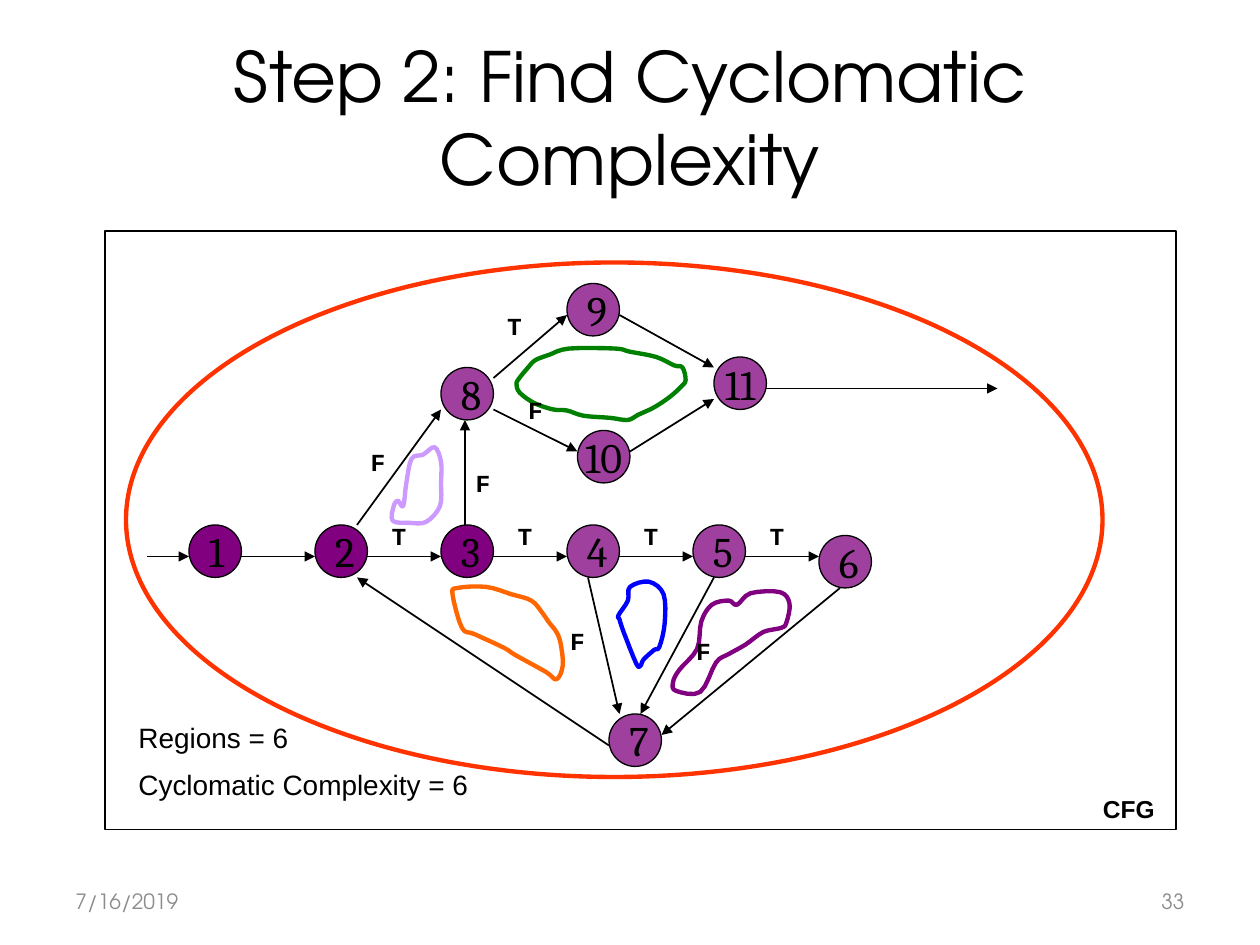
import pptx
import pptx.util
import pptx.dml.color
import pptx.enum.shapes
import pptx.enum.text
import pptx.oxml
import pptx.oxml.ns
from lxml import etree

SHAPE = pptx.enum.shapes.MSO_SHAPE
ALIGN = pptx.enum.text.PP_ALIGN
ANCHOR = pptx.enum.text.MSO_ANCHOR
qn = pptx.oxml.ns.qn

COLORS = {"ink": "000000", "muted": "8C8C8C", "node": "800080", "outer": "FF3300",
          "green": "008000", "orange": "FF6600", "blue": "0000FF",
          "purple": "800080", "lavender": "CC99FF"}
HEADING, BODY, DIGIT, BRANCH = "TeX Gyre Adventor", "Arial", "Cambria", "Courier New"
COLS, ROWS = 120, 90  # slide grid, twelve cells to the inch

prs = pptx.Presentation()
prs.slide_width, prs.slide_height = pptx.util.Inches(10), pptx.util.Inches(7.5)
CELL = prs.slide_width / COLS


def cells(*values):
    return [round(v * CELL) for v in values]


def rgb(name):
    return pptx.dml.color.RGBColor.from_string(COLORS[name])


def style(sp, line, width, fill=None):
    sp.shadow.inherit = False
    if fill:
        sp.fill.solid()
        sp.fill.fore_color.rgb = rgb(fill)
    else:
        sp.fill.background()
    sp.line.color.rgb = rgb(line)
    sp.line.width = pptx.util.Pt(width)


def write(sp, lines, size, font, color="ink", align=ALIGN.LEFT, bold=False,
          anchor=ANCHOR.TOP, wrap=True, before=0):
    tf = sp.text_frame
    tf.word_wrap, tf.vertical_anchor = wrap, anchor
    for i, line in enumerate(lines):
        p = tf.add_paragraph() if i else tf.paragraphs[0]
        p.alignment = align
        p.space_before = pptx.util.Pt(before)
        r = p.add_run()
        r.text = line
        r.font.size, r.font.name, r.font.bold = pptx.util.Pt(size), font, bold
        r.font.color.rgb = rgb(color)


def text(slide, box, lines, size, font, **options):
    write(slide.shapes.add_textbox(*cells(*box)), lines, size, font, **options)


def arrow(slide, x1, y1, x2, y2):
    cx = slide.shapes.add_connector(pptx.enum.shapes.MSO_CONNECTOR.STRAIGHT,
                                    *cells(x1, y1, x2, y2))
    cx.line.color.rgb = rgb("ink")
    cx.line.width = pptx.util.Pt(1)
    etree.SubElement(cx.line._get_or_add_ln(), qn("a:tailEnd"), type="triangle")
    etree.SubElement(cx._element.spPr, qn("a:effectLst"))


def smooth_loop(points, steps=4):
    """Closed Catmull-Rom curve through the points."""
    n, curve = len(points), []
    for i in range(n):
        around = [points[(i + k) % n] for k in (-1, 0, 1, 2)]
        for s in range(steps):
            t = s / steps
            curve.append(tuple(
                (2 * b + (c - a) * t + (2 * a - 5 * b + 4 * c - d) * t ** 2
                 + (3 * b - a - 3 * c + d) * t ** 3) / 2
                for a, b, c, d in zip(*around)))
    return curve


# Positions below are grid cells from the frame's top left corner
REGIONS = {
    "green": [(54.2, 12.8), (52.5, 12), (50, 11.5), (48.6, 11.2), (44.2, 11.2), (42.3, 11.8),
              (41, 12.3), (40.3, 13), (39.4, 14.1), (39.2, 14.6), (39.5, 15.4), (40.9, 16.4),
              (42.7, 17), (44, 17.1), (45.6, 17.6), (48.1, 17.8), (49.8, 18), (50.8, 17.5),
              (52.3, 16.8), (53.8, 15.8), (54.9, 14.8), (55.3, 14.2), (55, 13)],
    "orange": [(42.3, 37.3), (41.6, 36.3), (40.6, 35.2), (38.7, 34.6), (36.3, 33.9), (33.6, 34),
               (33.1, 34.6), (34, 37.8), (35.2, 38.4), (38, 39.7), (39.1, 40.4), (42, 42),
               (43, 42.7), (43.6, 41.4), (43.4, 39.3), (43, 38.2)],
    "blue": [(50.6, 41.2), (49.4, 38.2), (49, 37), (48.9, 36.6), (49.8, 35.2), (50, 33.9),
             (51.8, 33.4), (53.2, 34.6), (53.3, 37.4), (52.8, 39.6), (52.3, 39.9), (51.3, 40.8),
             (51, 41.4)],
    "purple": [(60.2, 35.6), (61.5, 34.5), (64.3, 34.4), (65.2, 35.5), (64.9, 37.3), (64.4, 37.8),
               (62.7, 38.2), (61, 39.4), (59.4, 40.3), (58.2, 41.1), (56.7, 43.9), (54.4, 43.8),
               (54.1, 43), (54.7, 41.8), (56.4, 39.8), (56.8, 37.2), (57.8, 35.6), (59.4, 35.2)],
    "lavender": [(28.4, 26.2), (28.7, 24), (29.2, 21.7), (30.3, 21.3), (31.4, 20.6), (32, 22),
                 (32, 24), (31.9, 26.2), (30.6, 27.7), (29, 27.8), (27.4, 27.6), (27.5, 26.2),
                 (27.9, 25.7)],
}
NODE = 5
NODES = {1: (8, 28), 2: (20, 28), 3: (32, 28), 4: (44, 28), 5: (56, 28), 6: (68, 29),
         7: (48, 46), 9: (44, 5), 8: (32, 13), 10: (45, 19), 11: (58, 12)}
EDGES = [(x, 31, x + 7, 31) for x in range(13, 62, 12)] + [
    (4, 31, 8, 31), (70, 34, 53, 48), (58, 33, 51, 46), (46, 33, 49, 46), (48, 49, 24, 33),
    (24, 28, 32, 17), (34.28, 28, 34.28, 18), (37, 14, 44, 8), (37, 17, 45, 21),
    (49, 8, 58, 13), (50, 21, 58, 16), (63, 15, 85, 15)]
BRANCHES = {"T": [(25, 27), (37, 27), (49, 27), (61, 27), (36, 7)],
            "F": [(38, 15), (23, 20), (42, 37), (54, 38), (33, 22)]}


def flow_graph(slide, left, top, width, height):
    # Hand-drawn region outlines
    for color, points in REGIONS.items():
        curve = [cells(left + x, top + y) for x, y in smooth_loop(points)]
        fb = slide.shapes.build_freeform(*curve[0])
        fb.add_line_segments(curve[1:], close=True)
        style(fb.convert_to_shape(), color, 2.5)
    # Numbered nodes, the first three opaque
    for number, (x, y) in NODES.items():
        sp = slide.shapes.add_shape(SHAPE.OVAL, *cells(left + x, top + y, NODE, NODE))
        style(sp, "ink", 0.75, "node")
        if number > 3:
            clr = sp._element.spPr.find(qn("a:solidFill"))[0]
            etree.SubElement(clr, qn("a:alpha"), val="75000")
        write(sp, [str(number)], 24, DIGIT, anchor=ANCHOR.MIDDLE, wrap=False,
              align=ALIGN.CENTER if number > 9 else ALIGN.LEFT)
    # Edges
    for x1, y1, x2, y2 in EDGES:
        arrow(slide, left + x1, top + y1, left + x2, top + y2)
    # Frame and captions
    style(slide.shapes.add_shape(SHAPE.RECTANGLE, *cells(left, top, width, height)), "ink", 1)
    text(slide, (left + width - 9, top + height - 4, 9, 4), ["CFG"], 14, BODY,
         align=ALIGN.CENTER, bold=True)
    for letter, places in BRANCHES.items():
        for x, y in places:
            text(slide, (left + x, top + y, 6, 4), [letter], 14, BRANCH,
                 align=ALIGN.CENTER, bold=True)
    text(slide, (left + 2, top + 46, 38, 9.2),
         ["Regions = 6", "Cyclomatic Complexity = 6"], 16, BODY, before=8)
    # Outer region
    style(slide.shapes.add_shape(SHAPE.OVAL, *cells(left + 2, top + 3, 93, 49)), "outer", 2.5)


def footer(slide, left, top, width, height):
    part = 28
    for x, line, align in ((left, "7/16/2019", ALIGN.LEFT),
                           (left + width - part, "33", ALIGN.RIGHT)):
        text(slide, (x, top, part, height), [line], 12, HEADING, color="muted",
             align=align, anchor=ANCHOR.MIDDLE)


def title(slide, *box):
    text(slide, box, ["Step 2: Find Cyclomatic Complexity"], 39.6, HEADING,
         align=ALIGN.CENTER, anchor=ANCHOR.MIDDLE)


slide = prs.slides.add_slide(prs.slide_layouts[6])
footer(slide, 6, 83.4, COLS - 12, 4.8)
title(slide, 6, 3.6, COLS - 12, 15)
flow_graph(slide, 10, 22, 102, 57)
prs.save("out.pptx")
